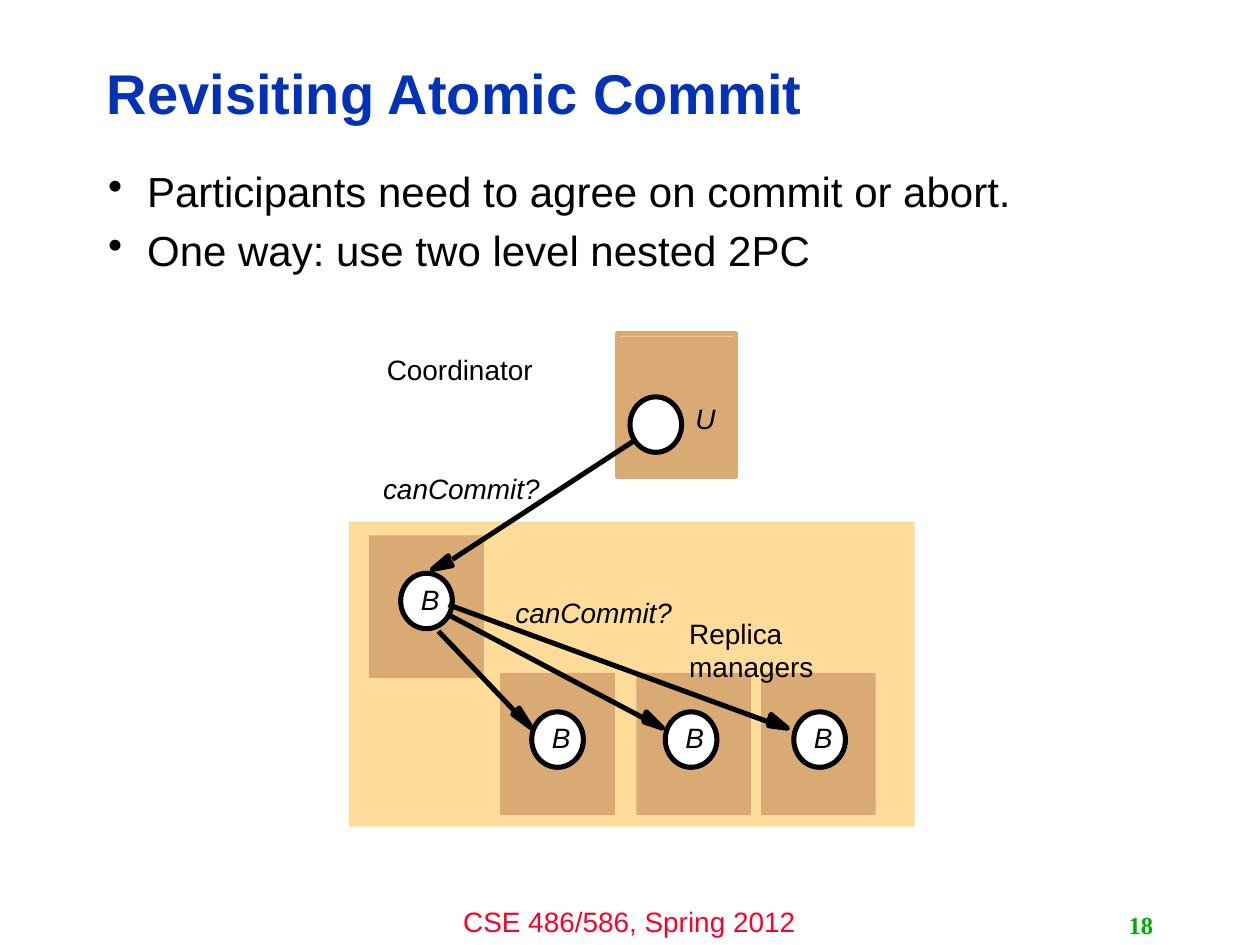
"""Build the slide on atomic commit with two level nested 2PC."""
from lxml import etree
from pptx import Presentation
from pptx.dml.color import RGBColor
from pptx.enum.shapes import MSO_CONNECTOR, MSO_SHAPE
from pptx.enum.text import MSO_ANCHOR, PP_ALIGN
from pptx.oxml.ns import qn
from pptx.util import Inches, Pt

RECTANGLE, OVAL = MSO_SHAPE.RECTANGLE, MSO_SHAPE.OVAL
STRAIGHT = MSO_CONNECTOR.STRAIGHT
LEFT, CENTER, RIGHT = PP_ALIGN.LEFT, PP_ALIGN.CENTER, PP_ALIGN.RIGHT
TOP, MIDDLE = MSO_ANCHOR.TOP, MSO_ANCHOR.MIDDLE
BLACK, WHITE, TAN, CREAM = "000000", "FFFFFF", "D9AA73", "FFDC99"
LINE_WIDTH = Pt(2.88)

deck = Presentation()
deck.slide_width, deck.slide_height = Inches(10), Inches(7.5)
page = deck.slides.add_slide(deck.slide_layouts[6])


def add_text(place, lines, size=16, color=BLACK, font="Arial", bold=False,
             italic=False, align=LEFT, anchor=TOP, inset=(0, 0)):
    box = page.shapes.add_textbox(*map(Inches, place))
    frame = box.text_frame
    frame.word_wrap = True
    frame.vertical_anchor = anchor
    frame.margin_left = frame.margin_right = Inches(inset[0])
    frame.margin_top = frame.margin_bottom = Inches(inset[1])
    for index, line in enumerate(lines):
        para = frame.paragraphs[0] if index == 0 else frame.add_paragraph()
        para.alignment = align
        span = para.add_run()
        span.text = line
        span.font.name, span.font.size = font, Pt(size)
        span.font.bold, span.font.italic = bold, italic
        span.font.color.rgb = RGBColor.from_string(color)
    return frame


def paint(shape, fill=None, line=None):
    shape.shadow.inherit = False
    if fill:
        shape.fill.solid()
        shape.fill.fore_color.rgb = RGBColor.from_string(fill)
    else:
        shape.fill.background()
    if line:
        shape.line.color.rgb = RGBColor.from_string(line)
        shape.line.width = LINE_WIDTH
    else:
        shape.line.fill.background()


add_text((3.33, 7.13, 3.33, 0.37), ["CSE 486/586, Spring 2012"],
         color="FC0128", align=CENTER, inset=(0.1, 0.05))
title = add_text((0.75, 0.36, 7.98, 0.81), ["Revisiting Atomic Commit"], size=32,
                 color="0332B7", bold=True, anchor=MIDDLE, inset=(0.1, 0.05))
title.paragraphs[0].line_spacing = 0.9

body = add_text((0.76, 1.31, 8.4, 5.39),
                ["Participants need to agree on commit or abort.",
                 "One way: use two level nested 2PC"],
                size=24, inset=(0.1, 0.05))
for para in body.paragraphs:
    properties = para._p.get_or_add_pPr()
    properties.set("marL", str(Inches(0.31)))
    properties.set("indent", str(-Inches(0.31)))
    etree.SubElement(properties, qn("a:buChar")).set("char", "•")
    para.line_spacing = 0.9
body.paragraphs[1].space_before = Pt(8)

add_text((7.17, 7.18, 2.08, 0.32), ["18"], size=14, color="00AE00",
         font="Times New Roman", bold=True, align=RIGHT, anchor=MIDDLE,
         inset=(0.1, 0.05))

rectangles = [
    ((2.77, 4.14, 4.49, 2.42), CREAM, None),
    ((4.92, 2.67, 0.91, 1.1), TAN, None),
    ((4.9, 2.65, 0.94, 1.13), None, TAN),
]
for place, fill, line in rectangles:
    paint(page.shapes.add_shape(RECTANGLE, *map(Inches, place)), fill, line)

managers = [(2.93, 4.25, 3.18, 4.55), (6.04, 5.34, 6.3, 5.65),
            (3.97, 5.34, 4.22, 5.65), (5.05, 5.34, 5.28, 5.65)]
for left, top, node_left, node_top in managers:
    square = page.shapes.add_shape(
        RECTANGLE, *map(Inches, (left, top, 0.91, 1.13)))
    paint(square, TAN)
    node = page.shapes.add_shape(
        OVAL, *map(Inches, (node_left, node_top, 0.41, 0.44)))
    paint(node, WHITE, BLACK)
    add_text((node_left + 0.16, node_top + 0.07, 0.15, 0.27), ["B"], italic=True)

coordinator = page.shapes.add_shape(OVAL, *map(Inches, (5, 3.15, 0.41, 0.44)))
paint(coordinator, WHITE, BLACK)

labels = [
    ("Coordinator", 3.07, 2.8, 1.2, False),
    ("Replica managers", 5.47, 4.89, 1.65, False),
    ("canCommit?", 3.04, 3.74, 1.32, True),
    ("U", 5.52, 3.19, 0.17, True),
]
for words, left, top, width, italic in labels:
    add_text((left, top, width, 0.27), [words], italic=italic)

messages = [
    ((5.03, 3.5), (3.59, 4.44),
     [(3.56, 4.44), (3.59, 4.49), (3.43, 4.52), (3.56, 4.41)]),
    ((3.56, 4.8), (6.1, 5.73),
     [(6.1, 5.73), (6.12, 5.67), (6.25, 5.78), (6.1, 5.76)]),
    ((3.56, 4.88), (5.11, 5.7),
     [(5.11, 5.7), (5.13, 5.65), (5.26, 5.78), (5.11, 5.73)]),
    ((3.48, 5.01), (4.09, 5.65),
     [(4.09, 5.65), (4.12, 5.62), (4.22, 5.78), (4.07, 5.67)]),
]
for start, end, outline in messages:
    corners = [(Inches(x), Inches(y)) for x, y in outline]
    builder = page.shapes.build_freeform(*corners[0])
    builder.add_line_segments(corners[1:], close=True)
    paint(builder.convert_to_shape(), BLACK, BLACK)
    shaft = page.shapes.add_connector(STRAIGHT, *map(Inches, start + end))
    shaft.line.color.rgb = RGBColor.from_string(BLACK)
    shaft.line.width = LINE_WIDTH
    etree.SubElement(shaft._element.spPr, qn("a:effectLst"))

add_text((4.09, 4.73, 1.32, 0.27), ["canCommit?"], italic=True)

deck.save("out.pptx")
